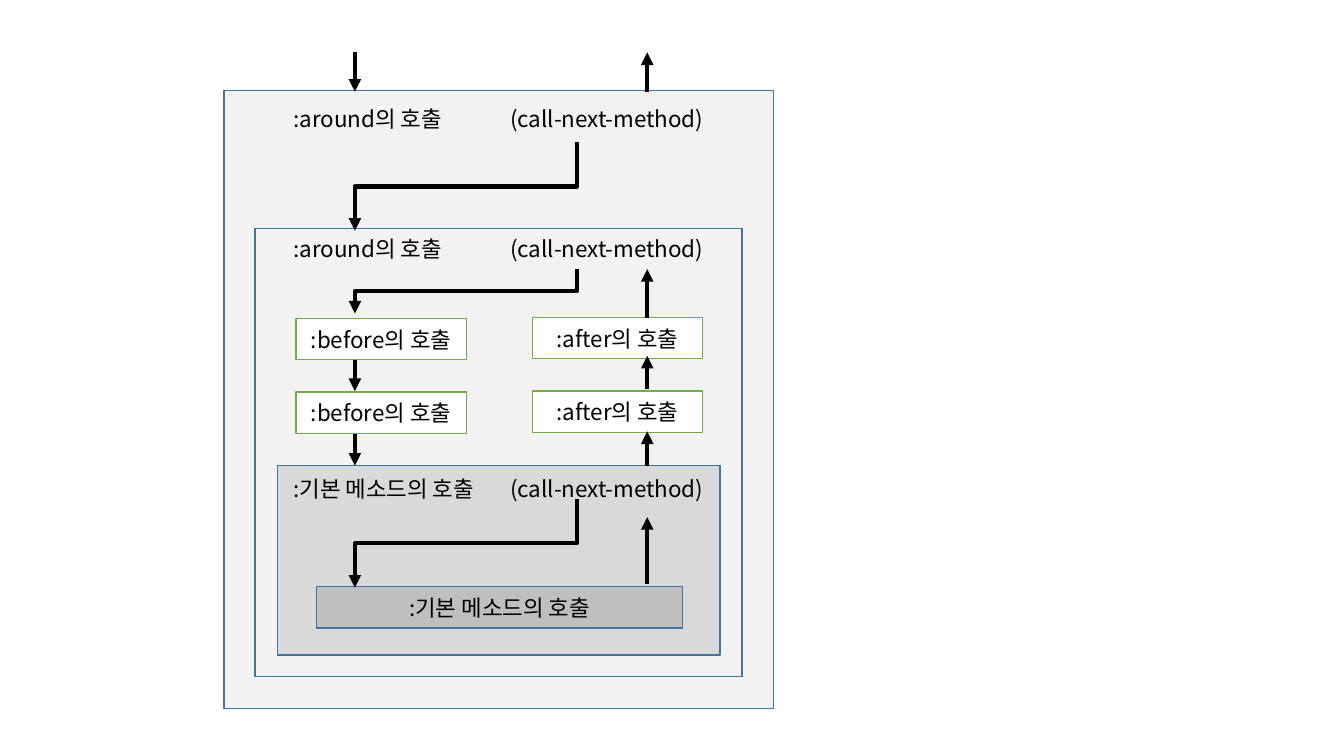
"""Build the slide on the call order of around, before, after and primary methods."""
from dataclasses import dataclass
from typing import Any

import pptx
import pptx.dml.color
import pptx.enum.shapes
import pptx.enum.text
import pptx.oxml
import pptx.oxml.ns
import pptx.util

CELL = pptx.util.Inches(0.1)  # one grid column or row
SLIDE_COLUMNS, SLIDE_ROWS = 133.3, 75
FONT = "Noto Sans CJK KR"
COLOURS = {
    "text": "000000", "arrow": "000000", "frame": "43739E", "step": "70AD47",
    "white": "FFFFFF", "around": "F2F2F2", "primary": "D9D9D9", "last": "BFBFBF",
}
FONT_FORMAT = {"size": pptx.util.Pt(16), "name": FONT}
BOX_FORMAT = {
    "word_wrap": True, "vertical_anchor": pptx.enum.text.MSO_ANCHOR.MIDDLE,
    "margin_left": 0, "margin_right": 0,
}
HEADING_FORMAT = {
    "word_wrap": True, "auto_size": pptx.enum.text.MSO_AUTO_SIZE.SHAPE_TO_FIT_TEXT,
}
HEADING_START, CALL_START = 29.1, 50.6
HEADING_WIDTH, HEADING_HEIGHT = 48, 3.7
STEP_WIDTH, STEP_HEIGHT = 16.9, 4.1
BEFORE_LEFT, AFTER_LEFT = 29.35, 52.8
BEFORE_TOPS, AFTER_TOPS = (31.6, 38.9), (31.5, 38.8)
DOWN_LANE, CALL_LANE, UP_LANE = 35.2, 57.2, 64.2

AROUND_CALL = ":around의 호출"
BEFORE_CALL = ":before의 호출"
AFTER_CALL = ":after의 호출"
PRIMARY_CALL = ":기본 메소드의 호출"
NEXT_METHOD = "(call-next-method)"


@dataclass(frozen=True)
class Box:
    """A bordered method call, placed in grid columns and rows."""
    left: float
    top: float
    width: float
    height: float
    fill: str
    line: str = "frame"
    text: str = ""


@dataclass(frozen=True)
class Heading:
    """A method call beside its call to the next method."""
    left: float
    top: float
    text: str


@dataclass(frozen=True)
class Arrow:
    """A control transfer from one grid point to another."""
    start_column: float
    start_row: float
    end_column: float
    end_row: float


def steps(text: str, left: float, tops: tuple[float, ...]) -> list[Box]:
    """Return one stack of equal step boxes."""
    return [Box(left, top, STEP_WIDTH, STEP_HEIGHT, "white", "step", text) for top in tops]


BOXES = [
    Box(22.2, 9, 54.5, 61.3, "around"),
    Box(25.3, 22.7, 48.3, 44.4, "around"),
    Box(27.5, 46.2, 43.9, 18.8, "primary"),
    *steps(BEFORE_CALL, BEFORE_LEFT, BEFORE_TOPS),
    *steps(AFTER_CALL, AFTER_LEFT, AFTER_TOPS),
    Box(31.4, 58.2, 36.3, STEP_HEIGHT, "last", text=PRIMARY_CALL),
]
HEADINGS = [
    Heading(25.4, 9.9, AROUND_CALL),
    Heading(25.4, 22.8, AROUND_CALL),
    Heading(25.6, 46.6, PRIMARY_CALL),
]
ARROWS = [
    *(Arrow(DOWN_LANE, start, DOWN_LANE, end)
      for start, end in ((5.2, 9.1), (35.7, 38.8), (43.1, 46.2))),
    *(Arrow(CALL_LANE, start, DOWN_LANE, end)
      for start, end in ((14.1, 22.9), (26.7, 31.1), (49.5, 58.3))),
    *(Arrow(UP_LANE, start, UP_LANE, end)
      for start, end in ((57.9, 51.3), (46.2, 42.8), (38.6, 35.3), (31.5, 26.7), (9.1, 5.2))),
]


def grid(*cells: float) -> list[int]:
    """Turn grid columns or rows into slide lengths."""
    return [round(cell * CELL) for cell in cells]


def colour(key: str) -> pptx.dml.color.RGBColor:
    """Look up a named colour."""
    return pptx.dml.color.RGBColor.from_string(COLOURS[key])


def apply_format(target: Any, values: dict[str, Any]) -> None:
    """Set each format value on the target."""
    for attribute, value in values.items():
        setattr(target, attribute, value)


def write(paragraph: Any, text: str, align: Any) -> None:
    """Write one formatted run into a paragraph."""
    paragraph.alignment = align
    run = paragraph.add_run()
    run.text = text
    apply_format(run.font, FONT_FORMAT)
    run.font.color.rgb = colour("text")
    east_asian = pptx.oxml.parse_xml(
        f'<a:ea {pptx.oxml.ns.nsdecls("a")} typeface="{FONT}"/>')
    run.font._element.find(pptx.oxml.ns.qn("a:latin")).addnext(east_asian)


def draw_box(shapes: Any, box: Box) -> None:
    """Draw a bordered box with its centred call, if any."""
    shape = shapes.add_shape(pptx.enum.shapes.MSO_SHAPE.RECTANGLE,
                             *grid(box.left, box.top, box.width, box.height))
    shape.shadow.inherit = False
    shape.fill.solid()
    shape.fill.fore_color.rgb = colour(box.fill)
    shape.line.color.rgb = colour(box.line)
    shape.line.width = pptx.util.Pt(1)
    if box.text:
        apply_format(shape.text_frame, BOX_FORMAT)
        write(shape.text_frame.paragraphs[0], box.text, pptx.enum.text.PP_ALIGN.CENTER)


def draw_heading(shapes: Any, heading: Heading) -> None:
    """Draw a heading whose second part starts at a tab stop."""
    frame = shapes.add_textbox(
        *grid(heading.left, heading.top, HEADING_WIDTH, HEADING_HEIGHT)).text_frame
    apply_format(frame, HEADING_FORMAT)
    frame.margin_left, = grid(HEADING_START - heading.left)
    paragraph = frame.paragraphs[0]
    write(paragraph, f"{heading.text}\t{NEXT_METHOD}", pptx.enum.text.PP_ALIGN.LEFT)
    tab_position, = grid(CALL_START - HEADING_START)
    paragraph._p.get_or_add_pPr().append(pptx.oxml.parse_xml(
        f'<a:tabLst {pptx.oxml.ns.nsdecls("a")}><a:tab pos="{tab_position}" algn="l"/></a:tabLst>'))


def draw_arrow(shapes: Any, arrow: Arrow) -> None:
    """Draw a straight arrow, or a bent one that leaves downwards."""
    kinds = pptx.enum.shapes.MSO_CONNECTOR
    bent = arrow.start_column != arrow.end_column
    ends = (arrow.start_column, arrow.start_row, arrow.end_column, arrow.end_row)
    if bent:
        middle_column = (arrow.start_column + arrow.end_column) / 2
        middle_row = (arrow.start_row + arrow.end_row) / 2
        half_drop = (arrow.end_row - arrow.start_row) / 2
        half_run = (arrow.start_column - arrow.end_column) / 2
        ends = (middle_column - half_drop, middle_row - half_run,
                middle_column + half_drop, middle_row + half_run)
    connector = shapes.add_connector(kinds.ELBOW if bent else kinds.STRAIGHT, *grid(*ends))
    connector.line.color.rgb = colour("arrow")
    connector.line.width = pptx.util.Pt(3)
    properties = connector._element.spPr
    if bent:
        properties.find(pptx.oxml.ns.qn("a:xfrm")).set("rot", str(90 * 60000))
    namespace = pptx.oxml.ns.nsdecls("a")
    properties.find(pptx.oxml.ns.qn("a:ln")).append(
        pptx.oxml.parse_xml(f'<a:tailEnd {namespace} type="triangle"/>'))
    properties.append(pptx.oxml.parse_xml(f"<a:effectLst {namespace}/>"))


def main() -> None:
    """Draw the nested calls and save the slide."""
    presentation = pptx.Presentation()
    presentation.slide_width, presentation.slide_height = grid(SLIDE_COLUMNS, SLIDE_ROWS)
    shapes = presentation.slides.add_slide(presentation.slide_layouts[6]).shapes
    for draw, items in ((draw_box, BOXES), (draw_heading, HEADINGS), (draw_arrow, ARROWS)):
        for item in items:
            draw(shapes, item)
    presentation.save("out.pptx")


main()
